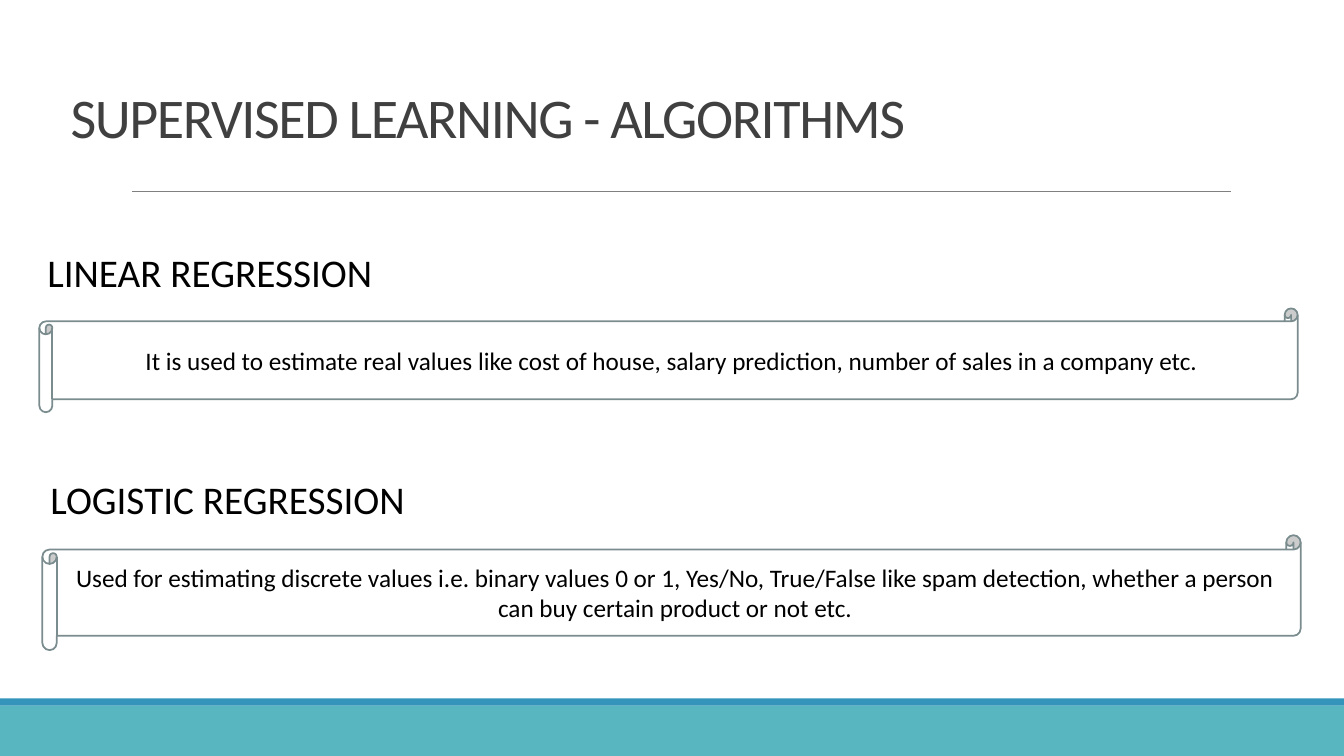
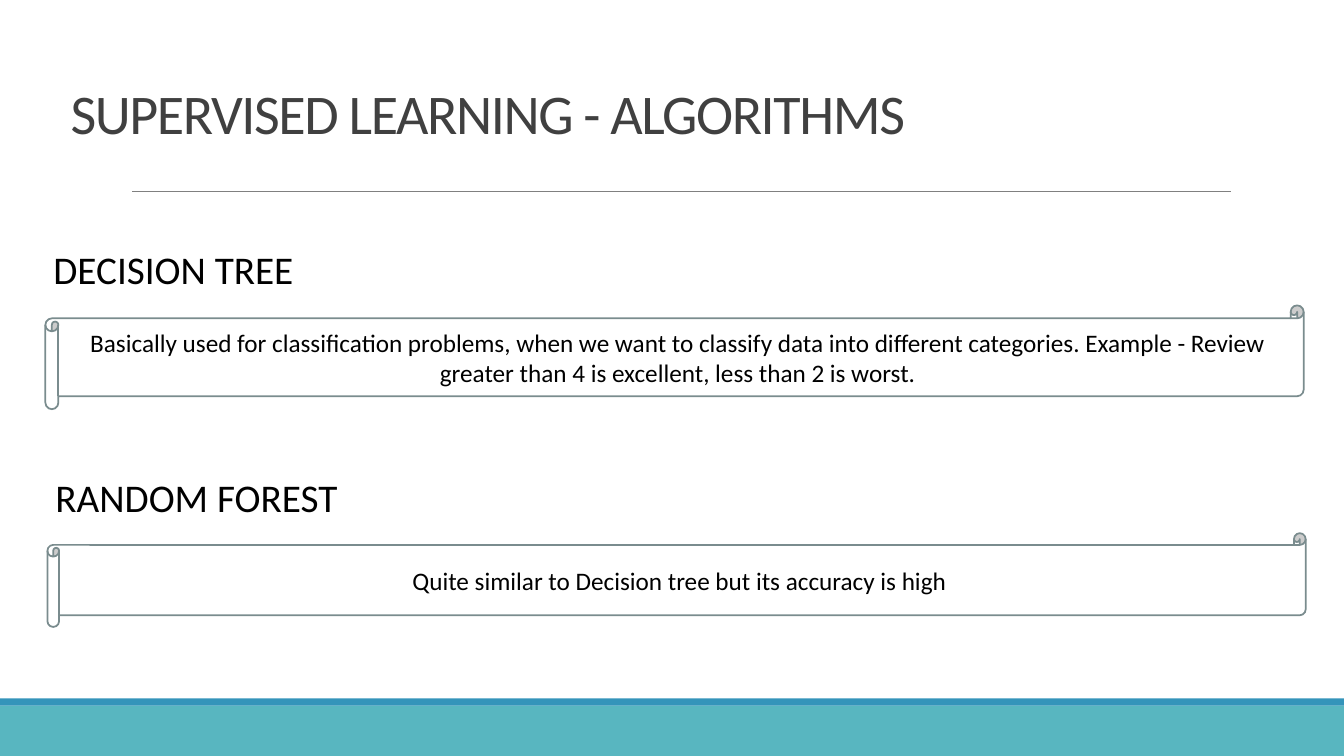
"""Build two slides on supervised learning algorithms."""
from dataclasses import dataclass

from lxml import etree
from pptx import Presentation
from pptx.dml.color import RGBColor
from pptx.enum.shapes import MSO_CONNECTOR, MSO_SHAPE, PP_PLACEHOLDER
from pptx.enum.text import MSO_ANCHOR, MSO_AUTO_SIZE, PP_ALIGN
from pptx.oxml.ns import qn
from pptx.shapes.base import BaseShape
from pptx.slide import Slide, SlideLayout
from pptx.text.text import Font, TextFrame
from pptx.util import Inches, Pt

RECTANGLE = MSO_SHAPE.RECTANGLE
SCROLL = MSO_SHAPE.HORIZONTAL_SCROLL
STRAIGHT = MSO_CONNECTOR.STRAIGHT
TITLE = PP_PLACEHOLDER.TITLE
LEFT, CENTER = PP_ALIGN.LEFT, PP_ALIGN.CENTER
MIDDLE, BOTTOM = MSO_ANCHOR.MIDDLE, MSO_ANCHOR.BOTTOM
NO_AUTOFIT = MSO_AUTO_SIZE.NONE

COLORS = {
    "footer": "58B6C0",
    "footer_edge": "3494BA",
    "rule": "808080",
    "title": "404040",
    "text": "000000",
    "scroll": "FFFFFF",
    "scroll_edge": "7A8C8E",
}
FONT = "Calibri"
SLIDE_WIDTH, SLIDE_HEIGHT = 13.33, 7.5
RULE_LEFT, RULE_RIGHT, RULE_TOP = 1.31, 12.21, 1.9
TITLE_TEXT = "SUPERVISED LEARNING - ALGORITHMS"
TITLE_LEFT, TITLE_WIDTH = 0.65, 10.51
SCROLL_WIDTH, HEADING_WIDTH = 12.48, 10.41
HEADING_HEIGHT = 1.18
HEADING_INDENT, HEADING_RISE = 0.03, 0.92
INSET = 0.05


@dataclass(frozen=True)
class Band:
    top: float
    height: float
    color: str


@dataclass(frozen=True)
class Algorithm:
    name: str
    usage: str
    left: float
    top: float
    height: float


@dataclass(frozen=True)
class Page:
    title_top: float
    algorithms: tuple[Algorithm, ...]


BANDS = (Band(7, 0.5, "footer"), Band(6.93, 0.07, "footer_edge"))
PAGES = (
    Page(0.36, (
        Algorithm(
            "LINEAR REGRESSION",
            "It is used to estimate real values like cost of house, salary "
            "prediction, number of sales in a company etc.",
            0.39, 3.06, 1.03),
        Algorithm(
            "LOGISTIC REGRESSION",
            "Used for estimating discrete values i.e. binary values 0 or 1, "
            "Yes/No, True/False like spam detection, whether a person can buy "
            "certain product or not etc.",
            0.42, 5.31, 1.14),
    )),
    Page(0.32, (
        Algorithm(
            "DECISION TREE",
            "Basically used for classification problems, when we want to "
            "classify data into different categories. Example - Review greater "
            "than 4 is excellent, less than 2 is worst.",
            0.45, 3.03, 1.03),
        Algorithm(
            "RANDOM FOREST",
            "Quite similar to Decision tree but its accuracy is high",
            0.47, 5.29, 0.93),
    )),
)


def rgb(name: str) -> RGBColor:
    """Return a palette colour."""
    return RGBColor.from_string(COLORS[name])


def place(shape: BaseShape, left: float, top: float, width: float, height: float) -> None:
    """Move and size a shape, in inches."""
    shape.left, shape.top = Inches(left), Inches(top)
    shape.width, shape.height = Inches(width), Inches(height)


def write(frame: TextFrame, text: str, size: float, color: str, align: PP_ALIGN,
          anchor: MSO_ANCHOR, spacing: float, inset: float = INSET) -> Font:
    """Fill a text frame with one formatted paragraph and return its font."""
    frame.text = text
    frame.word_wrap = True
    frame.auto_size = NO_AUTOFIT
    frame.vertical_anchor = anchor
    frame.margin_left = frame.margin_right = Inches(inset)
    frame.margin_top = frame.margin_bottom = Inches(INSET)
    paragraph = frame.paragraphs[0]
    paragraph.alignment = align
    paragraph.line_spacing = spacing
    font = paragraph.runs[0].font
    font.name, font.size = FONT, Pt(size)
    font.color.rgb = rgb(color)
    return font


def clear_layout(layout: SlideLayout) -> None:
    """Keep only the title placeholder of a layout."""
    for placeholder in list(layout.placeholders):
        if placeholder.placeholder_format.type != TITLE:
            layout.shapes.element.remove(placeholder.element)


def decorate_layout(layout: SlideLayout, slide: Slide) -> None:
    """Draw the footer bands and title rule and move them to the layout."""
    for band in BANDS:
        stripe = slide.shapes.add_shape(
            RECTANGLE, 0, Inches(band.top), Inches(SLIDE_WIDTH), Inches(band.height))
        stripe.shadow.inherit = False
        stripe.fill.solid()
        stripe.fill.fore_color.rgb = rgb(band.color)
        stripe.line.fill.background()
        layout.shapes.element.append(stripe.element)
    rule = slide.shapes.add_connector(
        STRAIGHT, Inches(RULE_LEFT), Inches(RULE_TOP), Inches(RULE_RIGHT), Inches(RULE_TOP))
    rule.line.color.rgb = rgb("rule")
    rule.line.width = Pt(0.5)
    etree.SubElement(rule.element.spPr, qn("a:effectLst"))
    layout.shapes.element.append(rule.element)


def add_title(slide: Slide, top: float) -> None:
    """Fill the title placeholder with tightened lettering."""
    title = slide.shapes.title
    place(title, TITLE_LEFT, top, TITLE_WIDTH, HEADING_HEIGHT)
    write(title.text_frame, TITLE_TEXT, 40, "title", LEFT, BOTTOM, 0.85)
    run = title.text_frame.paragraphs[0].runs[0]
    run._r.get_or_add_rPr().set("spc", "-100")


def add_algorithm(slide: Slide, algorithm: Algorithm) -> None:
    """Draw a scroll with the usage and the algorithm name above it."""
    scroll = slide.shapes.add_shape(
        SCROLL, Inches(algorithm.left), Inches(algorithm.top),
        Inches(SCROLL_WIDTH), Inches(algorithm.height))
    scroll.shadow.inherit = False
    scroll.fill.solid()
    scroll.fill.fore_color.rgb = rgb("scroll")
    scroll.line.color.rgb = rgb("scroll_edge")
    scroll.line.width = Pt(1.25)
    write(scroll.text_frame, algorithm.usage, 18, "text", CENTER, MIDDLE, 1.0, inset=0.1)
    heading = slide.shapes.add_textbox(
        Inches(algorithm.left + HEADING_INDENT), Inches(algorithm.top - HEADING_RISE),
        Inches(HEADING_WIDTH), Inches(HEADING_HEIGHT))
    write(heading.text_frame, algorithm.name, 28, "text", LEFT, MIDDLE, 0.9)


def main() -> None:
    """Build and save the presentation."""
    presentation = Presentation()
    presentation.slide_width = Inches(SLIDE_WIDTH)
    presentation.slide_height = Inches(SLIDE_HEIGHT)
    layout = presentation.slide_layouts.get_by_name("Title Only")
    clear_layout(layout)
    slides = [presentation.slides.add_slide(layout) for _ in PAGES]
    decorate_layout(layout, slides[0])
    for slide, page in zip(slides, PAGES):
        add_title(slide, page.title_top)
        for algorithm in page.algorithms:
            add_algorithm(slide, algorithm)
    presentation.save("out.pptx")


main()
